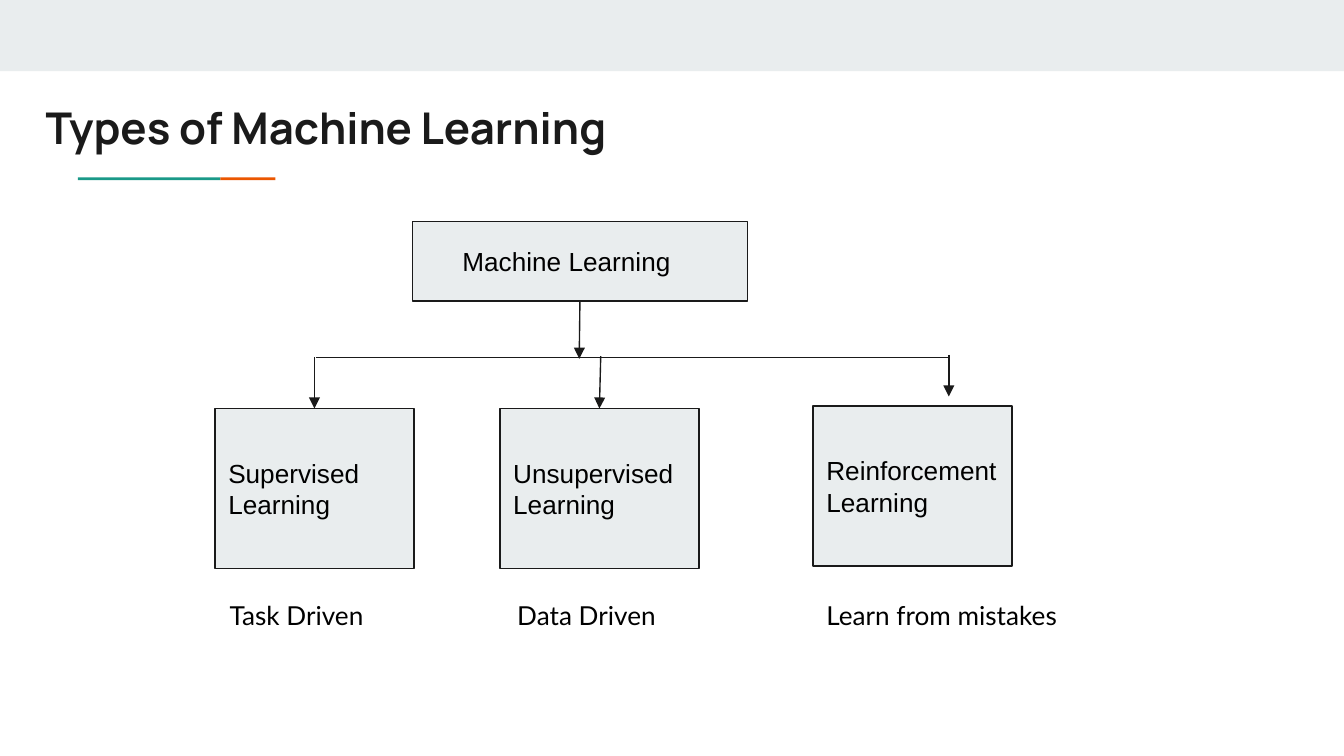
from lxml.etree import SubElement
from pptx import Presentation
from pptx.dml.color import RGBColor
from pptx.enum.shapes import MSO_CONNECTOR as Line, MSO_SHAPE as Shape
from pptx.enum.text import MSO_ANCHOR as Anchor, PP_ALIGN as Align
from pptx.oxml.ns import qn
from pptx.util import Inches, Pt

TITLE = "Types of Machine Learning"
ROOT = ("Machine Learning", 3.07, 1.65)
BRANCHES = [
    {"name": "Supervised\nLearning", "left": 1.6, "top": 3.04,
     "trait": "Task Driven", "trait_at": (1.61, 1.48), "drop": ((2.34, 2.66), (2.35, 3.03))},
    {"name": "Unsupervised\nLearning", "left": 3.72, "top": 3.04,
     "trait": "Data Driven", "trait_at": (3.75, 1.32), "drop": ((4.47, 2.65), (4.46, 3))},
    {"name": "Reinforcement Learning", "left": 6.05, "top": 3.02,
     "trait": "Learn from mistakes", "trait_at": (6.05, 1.94), "drop": ((7.06, 2.64), (7.06, 2.95))},
]
ACCENTS = [("1A9988", 0.58, 1.06), ("EB5600", 1.64, 0.41)]
INK, PALE, BLACK = "1A1A1A", "E9EDEE", "000000"
SLIDE_WIDTH = 10
SLIDE_HEIGHT = SLIDE_WIDTH * 9 / 16
ROOT_SIZE, BRANCH_SIZE = (2.49, 0.59), (1.48, 1.19)
TRAIT_TOP, TRAIT_HEIGHT = 4.36, 0.44
RAIL_Y = 2.66


def color(value):
    return RGBColor.from_string(value)


def inches(*values):
    return [Inches(value) for value in values]


def write(holder, text, font="Arial", size=14, ink=BLACK, bold=False,
          anchor=Anchor.TOP, indent=0.1):
    frame = holder.text_frame
    frame.text = text
    frame.word_wrap = True
    frame.vertical_anchor = anchor
    frame.margin_left = Inches(indent)
    frame.margin_top = frame.margin_right = frame.margin_bottom = Inches(0.1)
    for paragraph in frame.paragraphs:
        paragraph.alignment = Align.LEFT
        style = paragraph.runs[0].font
        style.name, style.size, style.bold = font, Pt(size), bold
        style.color.rgb = color(ink)


def block(slide, left, top, width, height, fill, preset=Shape.RECTANGLE, outline=None):
    shape = slide.shapes.add_shape(preset, *inches(left, top, width, height))
    shape.shadow.inherit = False
    shape.fill.solid()
    shape.fill.fore_color.rgb = color(fill)
    if outline:
        shape.line.color.rgb = color(outline)
        shape.line.width = Pt(0.75)
    else:
        shape.line.fill.background()
    return shape


def process(slide, name, left, top, size, indent=0.1):
    box = block(slide, left, top, *size, PALE, Shape.FLOWCHART_PROCESS, INK)
    write(box, name, anchor=Anchor.MIDDLE, indent=indent)
    return box


def link(slide, start, end, arrow=True):
    line = slide.shapes.add_connector(Line.STRAIGHT, *inches(*start, *end))
    line.line.color.rgb = color(INK)
    line.line.width = Pt(0.75)
    if arrow:
        SubElement(line.get_or_add_ln(), qn("a:tailEnd"), type="triangle")
    SubElement(line._element.spPr, qn("a:effectLst"))
    return line


def main():
    """Build the slide that shows the three types of machine learning."""
    deck = Presentation()
    deck.slide_width, deck.slide_height = inches(SLIDE_WIDTH, SLIDE_HEIGHT)
    slide = deck.slides.add_slide(deck.slide_layouts[5])

    block(slide, 0, 0, SLIDE_WIDTH, 0.53, PALE)
    for fill, left, width in ACCENTS:
        block(slide, left, 1.32, width, 0.02, fill)

    title = slide.shapes.title
    title.left, title.top, title.width, title.height = inches(0.24, 0.65, 8.35, 0.59)
    write(title, TITLE, font="Manrope", size=23.4, ink=INK, bold=True)

    root = process(slide, *ROOT, ROOT_SIZE, indent=0.37)
    link(slide, (2.35, RAIL_Y), (7.06, RAIL_Y), arrow=False)
    link(slide, (4.32, 2.23), (4.31, 2.67)).begin_connect(root, 2)

    for branch in BRANCHES:
        box = process(slide, branch["name"], branch["left"], branch["top"], BRANCH_SIZE)
        drop = link(slide, *branch["drop"])
        middle = branch["left"] + BRANCH_SIZE[0] / 2
        if abs(branch["drop"][1][0] - middle) < 0.05:
            drop.end_connect(box, 0)
        left, width = branch["trait_at"]
        trait = slide.shapes.add_textbox(*inches(left, TRAIT_TOP, width, TRAIT_HEIGHT))
        write(trait, branch["trait"], font="Lato")

    deck.save("out.pptx")


if __name__ == "__main__":
    main()
